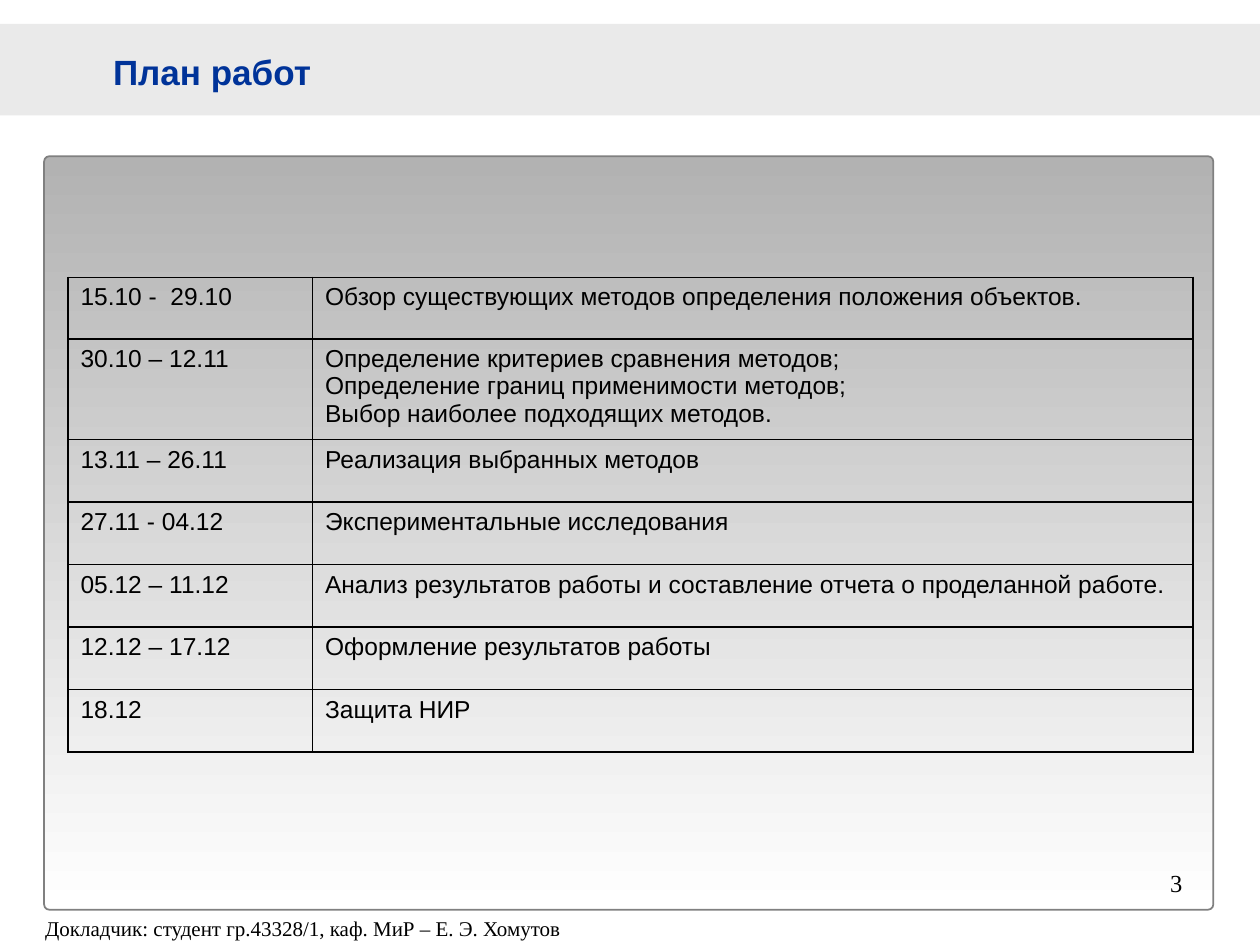
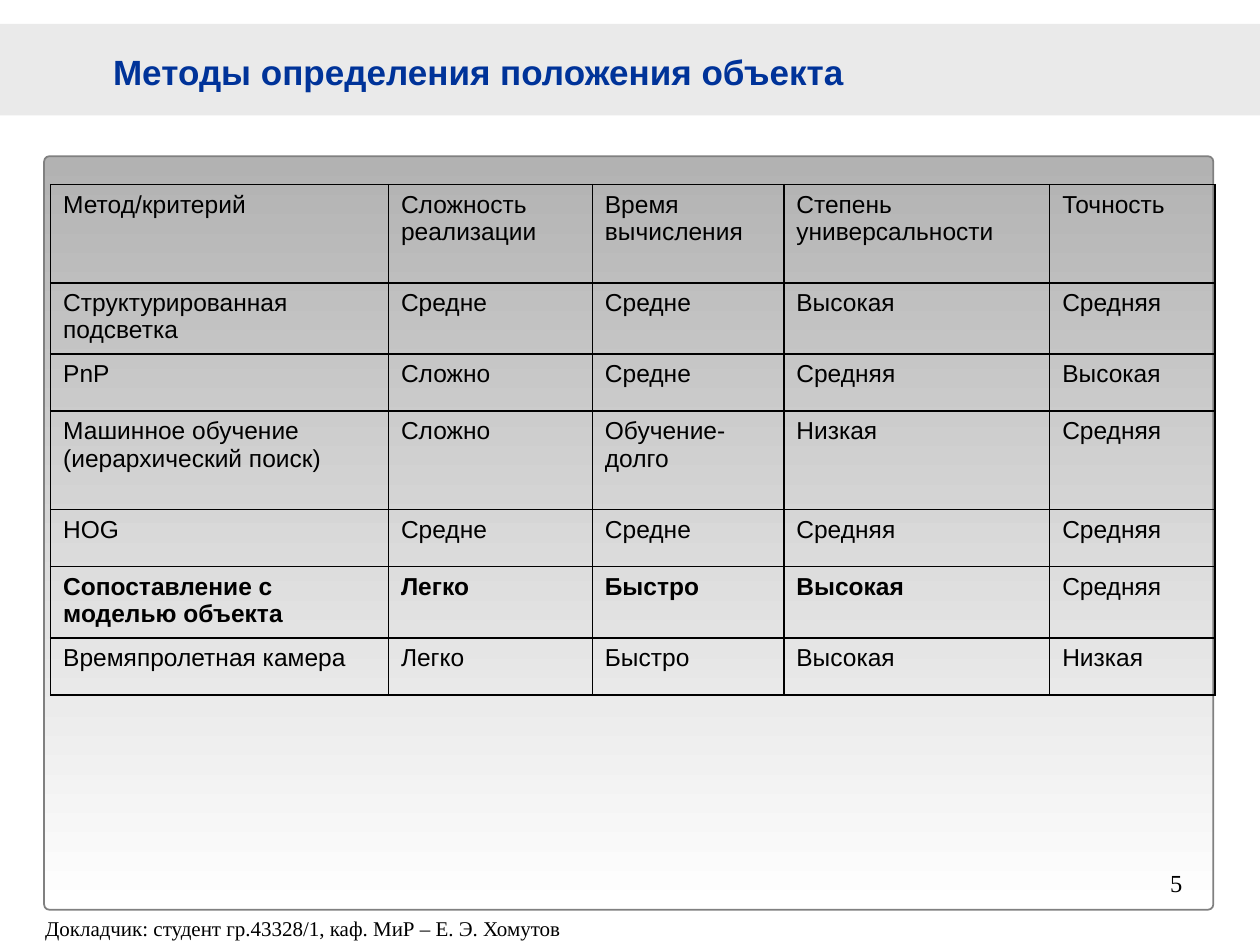
from lxml.etree import SubElement
from pptx import Presentation
from pptx.dml.color import RGBColor
from pptx.enum.shapes import MSO_SHAPE as Preset
from pptx.enum.text import MSO_AUTO_SIZE as AutoSize
from pptx.oxml.ns import qn
from pptx.util import Cm, Pt

COLORS = {
    "band": "EAEAEA",
    "panel_top": "B2B2B2",
    "panel_bottom": "FFFFFF",
    "panel_edge": "808080",
    "title": "003399",
    "text": "000000",
}

# Font attributes of each text role; "color" names an entry of COLORS
FONTS = {
    "title": {"name": "Arial", "size": Pt(20), "bold": True, "color": "title"},
    "speaker": {"name": "Times New Roman", "size": Pt(12), "color": "text"},
    "number": {"name": "Times New Roman", "size": Pt(14), "color": "text"},
    "cell": {"name": "Arial", "size": Pt(14), "bold": False, "color": "text"},
    "best": {"name": "Arial", "size": Pt(14), "bold": True, "color": "text"},
}

SPEAKER = "Докладчик: студент гр.43328/1, каф. МиР – Е. Э. Хомутов"

# Positions and sizes are in centimetres
SLIDES = [
    {
        "title": "План работ",
        "title_width": 4.55,
        "number": "3",
        "corner": (1.37, 5.59),
        "columns": (4.93, 17.75),
        "heights": (1.24, 2.03, 1.26, 1.26, 1.26, 1.26, 1.26),
        "best": set(),
        "rows": [
            ("15.10 -  29.10",
             "Обзор существующих методов определения положения объектов."),
            ("30.10 – 12.11",
             "Определение критериев сравнения методов;\n"
             "Определение границ применимости методов;\n"
             "Выбор наиболее подходящих методов."),
            ("13.11 – 26.11", "Реализация выбранных методов"),
            ("27.11 - 04.12", "Экспериментальные исследования"),
            ("05.12 – 11.12",
             "Анализ результатов работы и составление отчета о проделанной работе."),
            ("12.12 – 17.12", "Оформление результатов работы"),
            ("18.12", "Защита НИР"),
        ],
    },
    {
        "title": "Методы определения положения объекта",
        "title_width": 15.37,
        "number": "5",
        "corner": (1.02, 3.72),
        "columns": (6.81, 4.11, 3.86, 5.36, 3.33),
        "heights": (1.98, 1.44, 1.15, 1.98, 1.15, 1.44, 1.15),
        "best": {(5, 0), (5, 1), (5, 2), (5, 3)},
        "rows": [
            ("Метод/критерий", "Сложность реализации", "Время вычисления",
             "Степень универсальности", "Точность"),
            ("Структурированная подсветка", "Средне", "Средне", "Высокая", "Средняя"),
            ("PnP", "Сложно", "Средне", "Средняя", "Высокая"),
            ("Машинное обучение\n(иерархический поиск)", "Сложно", "Обучение-долго",
             "Низкая", "Средняя"),
            ("HOG", "Средне", "Средне", "Средняя", "Средняя"),
            ("Сопоставление с моделью объекта", "Легко", "Быстро", "Высокая", "Средняя"),
            ("Времяпролетная камера", "Легко", "Быстро", "Высокая", "Низкая"),
        ],
    },
]


def rgb(name):
    return RGBColor.from_string(COLORS[name])


def write(frame, text, role):
    """Fill a text frame, one paragraph per line, in the font of the role."""
    frame.text = text
    for paragraph in frame.paragraphs:
        for run in paragraph.runs:
            for attribute, value in FONTS[role].items():
                if attribute == "color":
                    run.font.color.rgb = rgb(value)
                else:
                    setattr(run.font, attribute, value)


def add_label(slide, text, role, box, wrap=True):
    frame = slide.shapes.add_textbox(*map(Cm, box)).text_frame
    frame.word_wrap = wrap
    frame.auto_size = AutoSize.SHAPE_TO_FIT_TEXT
    write(frame, text, role)
    return frame.paragraphs[0]


def add_backdrop(slide):
    """Draw the title band and the shaded content panel."""
    band = slide.shapes.add_shape(Preset.RECTANGLE, 0, Cm(0.48), Cm(25.4), Cm(1.85))
    band.shadow.inherit = False
    band.fill.solid()
    band.fill.fore_color.rgb = rgb("band")
    band.line.fill.background()

    panel = slide.shapes.add_shape(
        Preset.ROUNDED_RECTANGLE, Cm(0.89), Cm(3.15), Cm(23.57), Cm(15.19))
    panel.shadow.inherit = False
    panel.adjustments[0] = 0.007
    panel.fill.gradient()
    panel.fill.gradient_angle = 270
    shades = ("panel_top", "panel_bottom")
    for position, (stop, shade) in enumerate(zip(panel.fill.gradient_stops, shades)):
        stop.position = position
        stop.color.rgb = rgb(shade)
    panel.line.color.rgb = rgb("panel_edge")
    panel.line.width = Pt(1)


def outline(cell):
    properties = cell._tc.get_or_add_tcPr()
    for side in ("lnL", "lnR", "lnT", "lnB"):
        border = SubElement(properties, qn(f"a:{side}"), w=str(Pt(1)))
        ink = SubElement(border, qn("a:solidFill"))
        SubElement(ink, qn("a:srgbClr"), val=COLORS["text"])


def add_grid(slide, content):
    rows, columns, heights = (content[key] for key in ("rows", "columns", "heights"))
    size = (sum(columns), sum(heights))
    grid = slide.shapes.add_table(
        len(rows), len(columns), *map(Cm, content["corner"] + size)).table
    grid.first_row = grid.horz_banding = False
    for column, width in zip(grid.columns, columns):
        column.width = Cm(width)
    for row, height in zip(grid.rows, heights):
        row.height = Cm(height)
    for r, texts in enumerate(rows):
        for c, text in enumerate(texts):
            cell = grid.cell(r, c)
            outline(cell)
            cell.fill.background()
            write(cell.text_frame, text, "best" if (r, c) in content["best"] else "cell")


def add_page(deck, content):
    slide = deck.slides.add_slide(deck.slide_layouts[6])
    add_backdrop(slide)
    title = add_label(slide, content["title"], "title",
                      (2.03, 0.89, content["title_width"], 1.12), wrap=False)
    title.space_after = Pt(10)
    speaker = add_label(slide, SPEAKER, "speaker", (0.66, 18.24, 19.89, 0.81))
    speaker.line_spacing = 1.2
    add_label(slide, content["number"], "number", (23.34, 17.37, 0.79, 0.86))
    add_grid(slide, content)


def main():
    deck = Presentation()
    deck.slide_width, deck.slide_height = Cm(25.4), Cm(19.05)
    for content in SLIDES:
        add_page(deck, content)
    deck.save("out.pptx")


if __name__ == "__main__":
    main()
